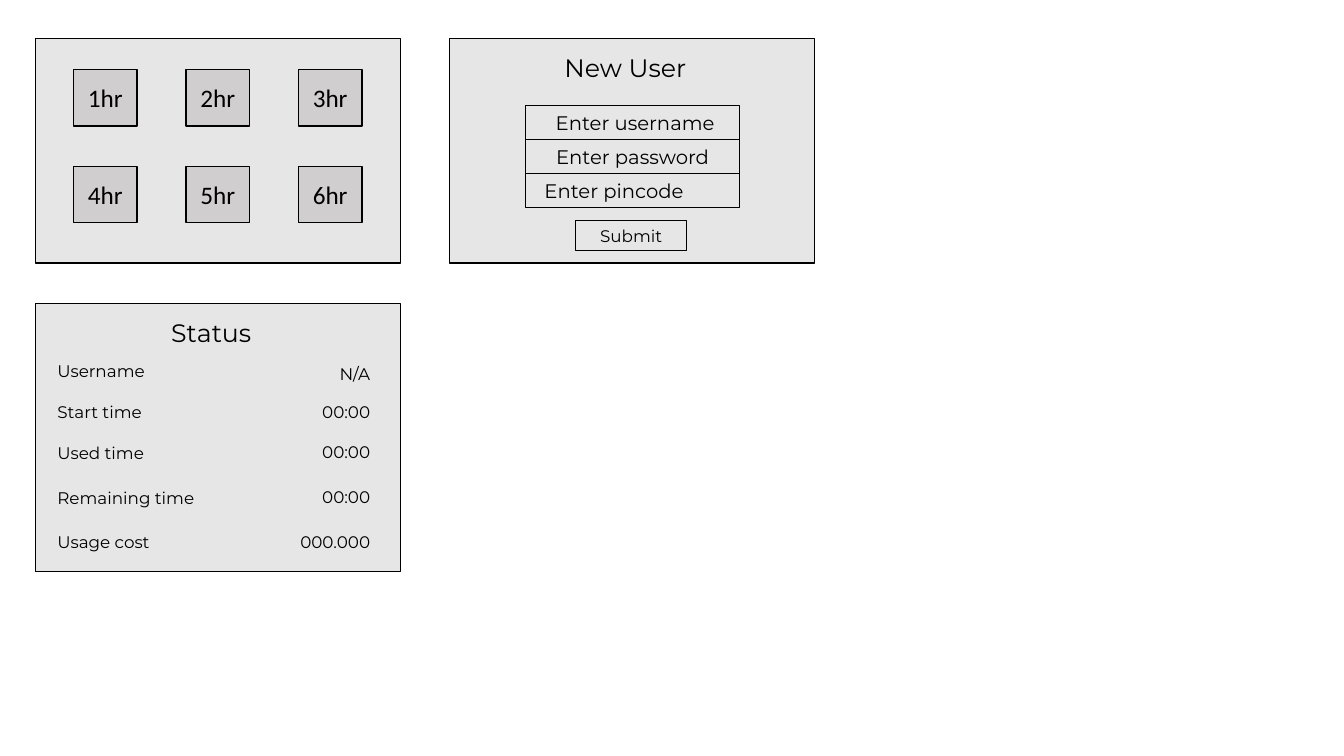
"""Build a slide of three kiosk screens: hour picker, new user form and status."""
from pptx import Presentation
from pptx.dml.color import RGBColor
from pptx.enum.shapes import MSO_SHAPE
from pptx.enum.text import MSO_ANCHOR, MSO_AUTO_SIZE, PP_ALIGN
from pptx.util import Inches, Pt

BLACK = RGBColor(0x00, 0x00, 0x00)
PANEL_GREY = RGBColor(0xE7, 0xE6, 0xE6)
BUTTON_GREY = RGBColor(0xD0, 0xCE, 0xCE)
HEADING_FONT = "Montserrat"
BUTTON_FONT = "Calibri"


def write(shape, text, size, font=HEADING_FONT, align=PP_ALIGN.LEFT):
    frame = shape.text_frame
    frame.word_wrap = True
    paragraph = frame.paragraphs[0]
    paragraph.alignment = align
    run = paragraph.add_run()
    run.text = text
    run.font.size = Pt(size)
    run.font.name = font
    run.font.color.rgb = BLACK


def add_box(slide, left, top, width, height, fill):
    box = slide.shapes.add_shape(MSO_SHAPE.RECTANGLE, Inches(left), Inches(top),
                                 Inches(width), Inches(height))
    box.shadow.inherit = False
    box.fill.solid()
    box.fill.fore_color.rgb = fill
    box.line.color.rgb = BLACK
    box.line.width = Pt(1)
    return box


def add_label(slide, left, top, width, height, text, size, align=PP_ALIGN.LEFT):
    label = slide.shapes.add_textbox(Inches(left), Inches(top),
                                     Inches(width), Inches(height))
    write(label, text, size, align=align)
    label.text_frame.auto_size = MSO_AUTO_SIZE.SHAPE_TO_FIT_TEXT
    return label


def add_field(slide, left, top, width, height, text, size,
              align=PP_ALIGN.CENTER, inset=0.1):
    field = add_label(slide, left, top, width, height, text, size, align)
    field.text_frame.margin_left = Inches(inset)
    field.line.color.rgb = BLACK
    field.line.width = Pt(0.75)


def add_hour_picker(slide):
    add_box(slide, 0.35, 0.38, 3.62, 2.23, PANEL_GREY)
    for index in range(6):
        row, column = divmod(index, 3)
        button = add_box(slide, 0.73 + column * 1.115, 0.69 + row * 0.96,
                         0.63, 0.56, BUTTON_GREY)
        write(button, f"{index + 1}hr", 18, BUTTON_FONT, PP_ALIGN.CENTER)
        button.text_frame.vertical_anchor = MSO_ANCHOR.MIDDLE


def add_status(slide):
    add_box(slide, 0.35, 3.01, 3.62, 2.66, PANEL_GREY)
    add_label(slide, 1.6, 3.1, 1.13, 0.4, "Status", 18)
    rows = [
        ("Username", 3.53, "N/A", 3.56),
        ("Start time", 3.94, "00:00", 3.94),
        ("Used time", 4.34, "00:00", 4.33),
        ("Remaining time", 4.79, "00:00", 4.78),
        ("Usage cost", 5.23, "000.000", 5.23),
    ]
    for name, name_top, value, value_top in rows:
        add_label(slide, 0.47, name_top, 1.7, 0.3, name, 12)
        add_label(slide, 2.62, value_top, 1.15, 0.3, value, 12, PP_ALIGN.RIGHT)


def add_new_user(slide):
    add_box(slide, 4.46, 0.38, 3.62, 2.23, PANEL_GREY)
    add_label(slide, 5.5, 0.47, 1.54, 0.4, "New User", 18)
    fields = [
        ("Enter username", PP_ALIGN.CENTER, 0.15),
        ("Enter password", PP_ALIGN.CENTER, 0.1),
        ("Enter pincode", PP_ALIGN.LEFT, 0.19),
    ]
    for row, (prompt, align, inset) in enumerate(fields):
        add_field(slide, 5.21, 1.05 + row * 0.337, 2.13, 0.337, prompt, 14, align, inset)
    add_field(slide, 5.71, 2.19, 1.1, 0.3, "Submit", 12)


def main():
    presentation = Presentation()
    presentation.slide_width = Inches(13.33)
    presentation.slide_height = Inches(7.5)
    slide = presentation.slides.add_slide(presentation.slide_layouts[6])
    add_hour_picker(slide)
    add_status(slide)
    add_new_user(slide)
    presentation.save("out.pptx")


main()
